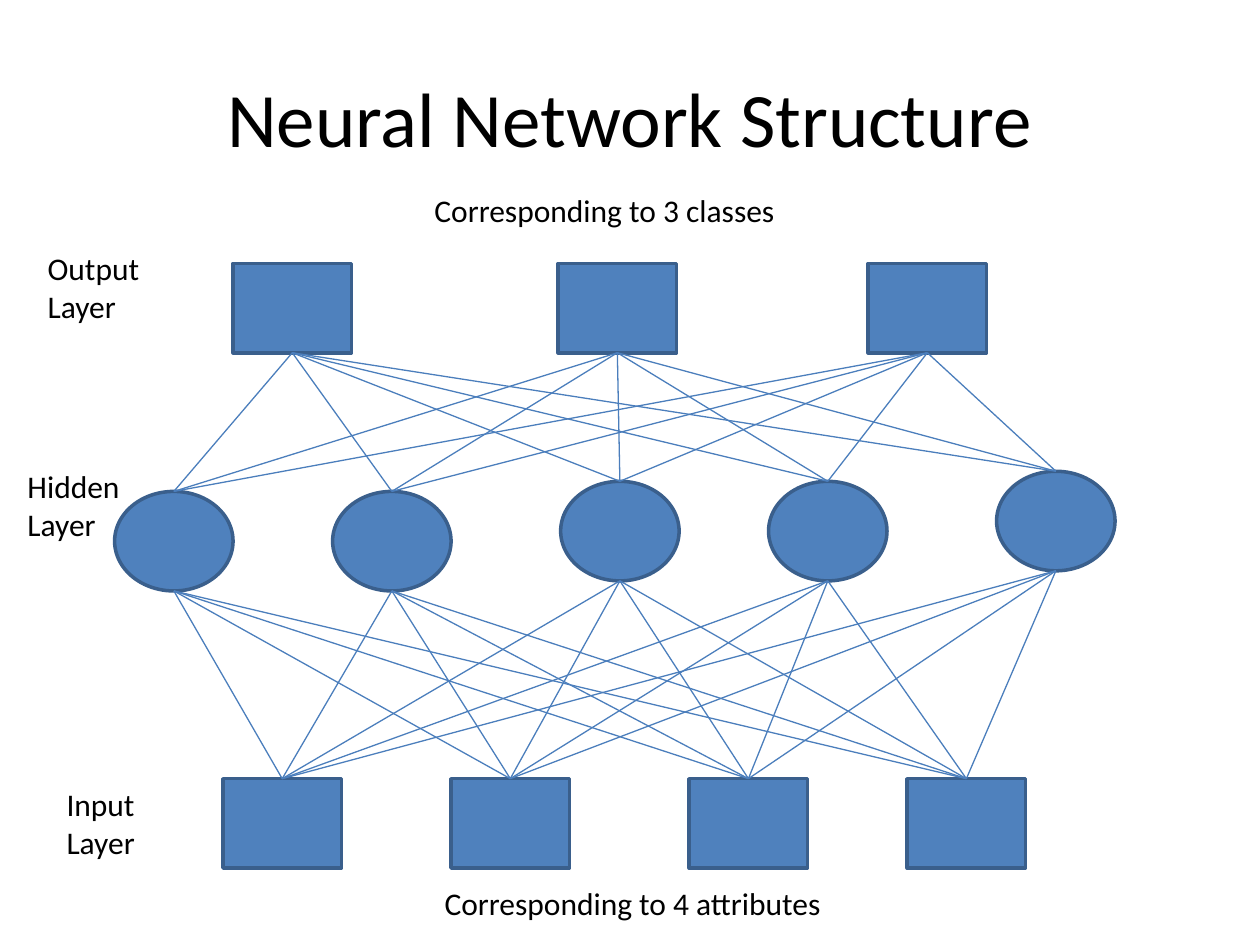
import pptx
import pptx.util
import pptx.dml.color
import pptx.enum.shapes
import pptx.enum.text
import pptx.oxml

BLACK = pptx.dml.color.RGBColor(0x00, 0x00, 0x00)
NODE_FILL = pptx.dml.color.RGBColor(0x4F, 0x81, 0xBD)
NODE_EDGE = pptx.dml.color.RGBColor(0x3A, 0x5F, 0x8C)
LINK_BLUE = pptx.dml.color.RGBColor(0x4B, 0x7E, 0xBC)
RECTANGLE = pptx.enum.shapes.MSO_SHAPE.RECTANGLE
OVAL = pptx.enum.shapes.MSO_SHAPE.OVAL
LEFT = pptx.enum.text.PP_ALIGN.LEFT
CENTER = pptx.enum.text.PP_ALIGN.CENTER
TOP = pptx.enum.text.MSO_ANCHOR.TOP
MIDDLE = pptx.enum.text.MSO_ANCHOR.MIDDLE
NODE_WIDTH = 0.94
SQUARE_HEIGHT = 0.71
OVAL_HEIGHT = 0.79

deck = pptx.Presentation()
deck.slide_width = pptx.util.Inches(10)
deck.slide_height = pptx.util.Inches(7.5)
page = deck.slides.add_slide(deck.slide_layouts[6])


def add_node(kind, left, top, height):
    node = page.shapes.add_shape(
        kind, *[pptx.util.Inches(v) for v in (left, top, NODE_WIDTH, height)])
    node.shadow.inherit = False
    node.fill.solid()
    node.fill.fore_color.rgb = NODE_FILL
    node.line.color.rgb = NODE_EDGE
    node.line.width = pptx.util.Pt(2)
    return node


def add_link(lower, upper):
    """Join the top of the lower node to the bottom of the upper one."""
    link = page.shapes.add_connector(
        pptx.enum.shapes.MSO_CONNECTOR.STRAIGHT,
        lower.left + lower.width // 2, lower.top,
        upper.left + upper.width // 2, upper.top + upper.height)
    link.begin_connect(lower, 0)
    # An oval numbers its sites differently, so only rectangles join at 2
    if upper.auto_shape_type == RECTANGLE:
        link.end_connect(upper, 2)
    link.line.color.rgb = LINK_BLUE
    link.line.width = pptx.util.Pt(0.75)
    link._element.spPr.append(pptx.oxml.parse_xml(
        '<a:effectLst xmlns:a="http://schemas.openxmlformats.org/drawingml/2006/main"/>'))


# The three layers of nodes
outputs = [add_node(RECTANGLE, left, 2.09, SQUARE_HEIGHT)
           for left in (1.85, 4.43, 6.89)]
hidden = [add_node(OVAL, left, top, OVAL_HEIGHT)
          for left, top in ((0.91, 3.9), (2.64, 3.9), (4.45, 3.82),
                            (6.1, 3.82), (7.91, 3.74))]
inputs = [add_node(RECTANGLE, left, 6.18, SQUARE_HEIGHT)
          for left in (1.77, 3.58, 5.47, 7.2)]

# Every node is linked to every node of the next layer
for lower_layer, upper_layer in ((inputs, hidden), (hidden, outputs)):
    for lower in lower_layer:
        for upper in upper_layer:
            add_link(lower, upper)

# Title, layer names and captions
texts = (
    ("Neural Network Structure", 0.5, 0.3, 9, 1.25, 44, CENTER, MIDDLE),
    ("Output\nLayer", 0.28, 1.93, 1.1, 0.71, 18, LEFT, TOP),
    ("Hidden Layer", 0.12, 3.66, 1.06, 0.71, 18, LEFT, TOP),
    ("Input Layer", 0.43, 6.18, 0.94, 0.71, 18, LEFT, TOP),
    ("Corresponding to 4 attributes", 3.43, 6.97, 4.88, 0.4, 18, LEFT, TOP),
    ("Corresponding to 3 classes", 3.35, 1.47, 3.7, 0.4, 18, LEFT, TOP),
)
for words, left, top, width, height, size, align, anchor in texts:
    box = page.shapes.add_textbox(
        *[pptx.util.Inches(v) for v in (left, top, width, height)])
    box.text_frame.word_wrap = True
    box.text_frame.vertical_anchor = anchor
    box.text_frame.text = words
    for para in box.text_frame.paragraphs:
        para.alignment = align
        for span in para.runs:
            span.font.name = "Calibri"
            span.font.size = pptx.util.Pt(size)
            span.font.color.rgb = BLACK

deck.save("out.pptx")
